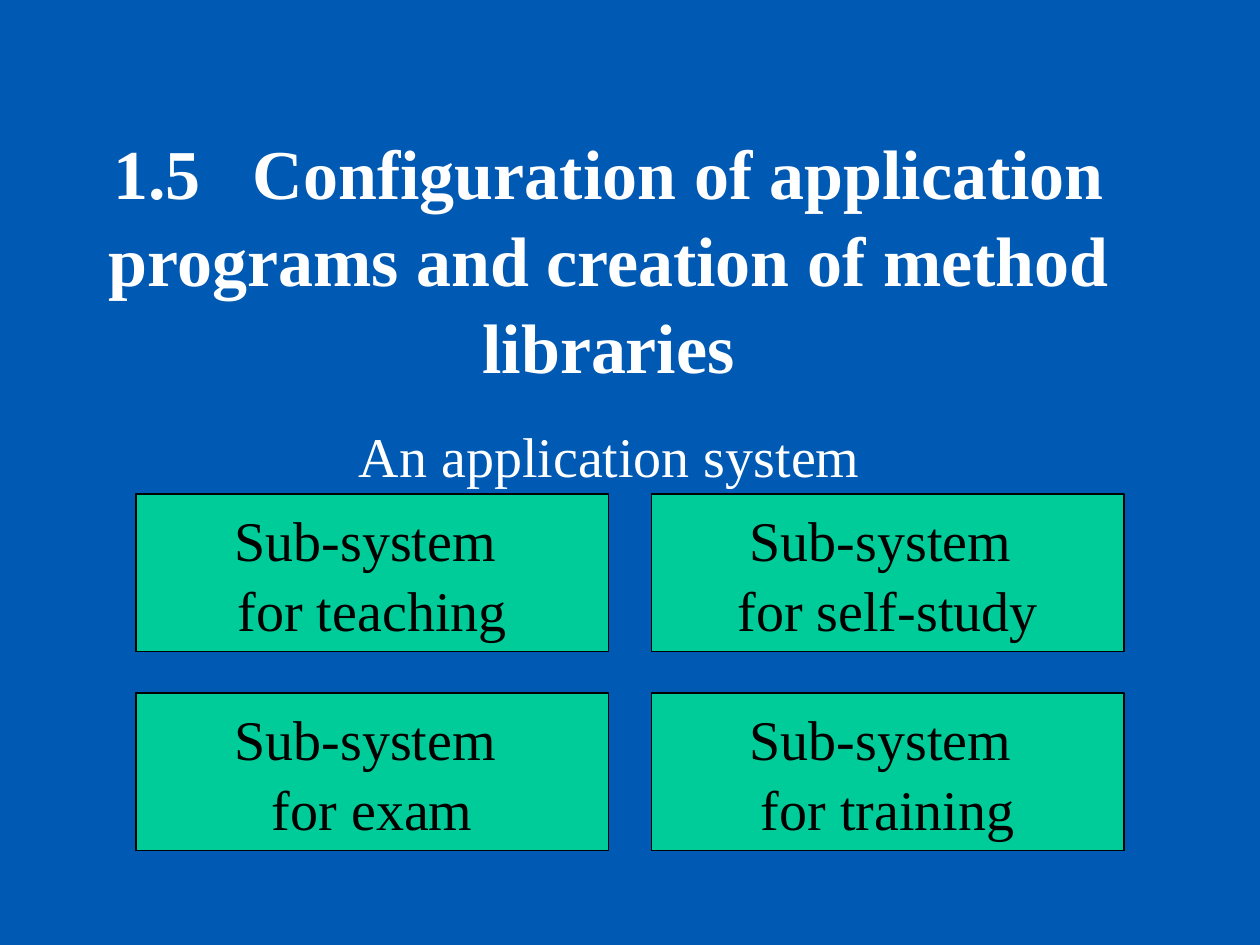
from pptx import Presentation
from pptx.dml.color import RGBColor
from pptx.enum import shapes, text
from pptx.util import Inches, Pt

TITLE = "1.5   Configuration of application programs and creation of method libraries"
CAPTION = "An application system"
SUBSYSTEMS = [
    ["for teaching", "for self-study"],
    ["for exam", "for training"],
]
COLORS = {"background": "0059B2", "light": "FFFFFF", "box": "00CC99", "dark": "000000"}
FONT = "Times New Roman"
GRID = {"left": 1.08, "top": 3.92, "column": 4.09, "row": 1.58}
BOX = {"width": 3.75, "height": 1.25}


def color(name):
    return RGBColor.from_string(COLORS[name])


def write(shape, lines, color_name, frame_values, font_values, alignment):
    frame = shape.text_frame
    frame.text = "\n".join(lines)
    for name, value in frame_values.items():
        setattr(frame, name, value)
    for paragraph in frame.paragraphs:
        paragraph.alignment = alignment
        paragraph.line_spacing = 1.04
        for run in paragraph.runs:
            for name, value in font_values.items():
                setattr(run.font, name, value)
            run.font.color.rgb = color(color_name)


def main():
    presentation = Presentation()
    presentation.slide_width, presentation.slide_height = Inches(10), Inches(7.5)
    slide = presentation.slides.add_slide(presentation.slide_layouts[5])
    slide.background.fill.solid()
    slide.background.fill.fore_color.rgb = color("background")
    middle = text.MSO_ANCHOR.MIDDLE
    center = text.PP_ALIGN.CENTER
    body_font = {"name": FONT, "size": Pt(32), "bold": False}

    title = slide.shapes.title
    place = {"left": 0.58, "top": 1.75, "width": 8.5, "height": 1.25}
    for name, value in place.items():
        setattr(title, name, Inches(value))
    title_frame = {
        "word_wrap": True,
        "auto_size": text.MSO_AUTO_SIZE.NONE,
        "vertical_anchor": middle,
        "margin_bottom": Inches(0.72),
    }
    title_font = {"name": FONT, "size": Pt(40), "bold": True}
    write(title, [TITLE], "light", title_frame, title_font, center)

    for row, purposes in enumerate(SUBSYSTEMS):
        for column, purpose in enumerate(purposes):
            box = slide.shapes.add_shape(
                shapes.MSO_SHAPE.RECTANGLE,
                Inches(GRID["left"] + column * GRID["column"]),
                Inches(GRID["top"] + row * GRID["row"]),
                Inches(BOX["width"]),
                Inches(BOX["height"]),
            )
            box.shadow.inherit = False
            box.fill.solid()
            box.fill.fore_color.rgb = color("box")
            box.line.color.rgb = color("dark")
            box.line.width = Pt(0.75)
            box_frame = {"word_wrap": False, "vertical_anchor": middle}
            write(box, ["Sub-system ", purpose], "dark", box_frame, body_font, center)

    caption = slide.shapes.add_textbox(Inches(2.75), Inches(3.28), Inches(4.33), Inches(0.64))
    caption_frame = {"word_wrap": True, "vertical_anchor": middle}
    write(caption, [CAPTION], "light", caption_frame, body_font, text.PP_ALIGN.LEFT)

    presentation.save("out.pptx")


if __name__ == "__main__":
    main()
